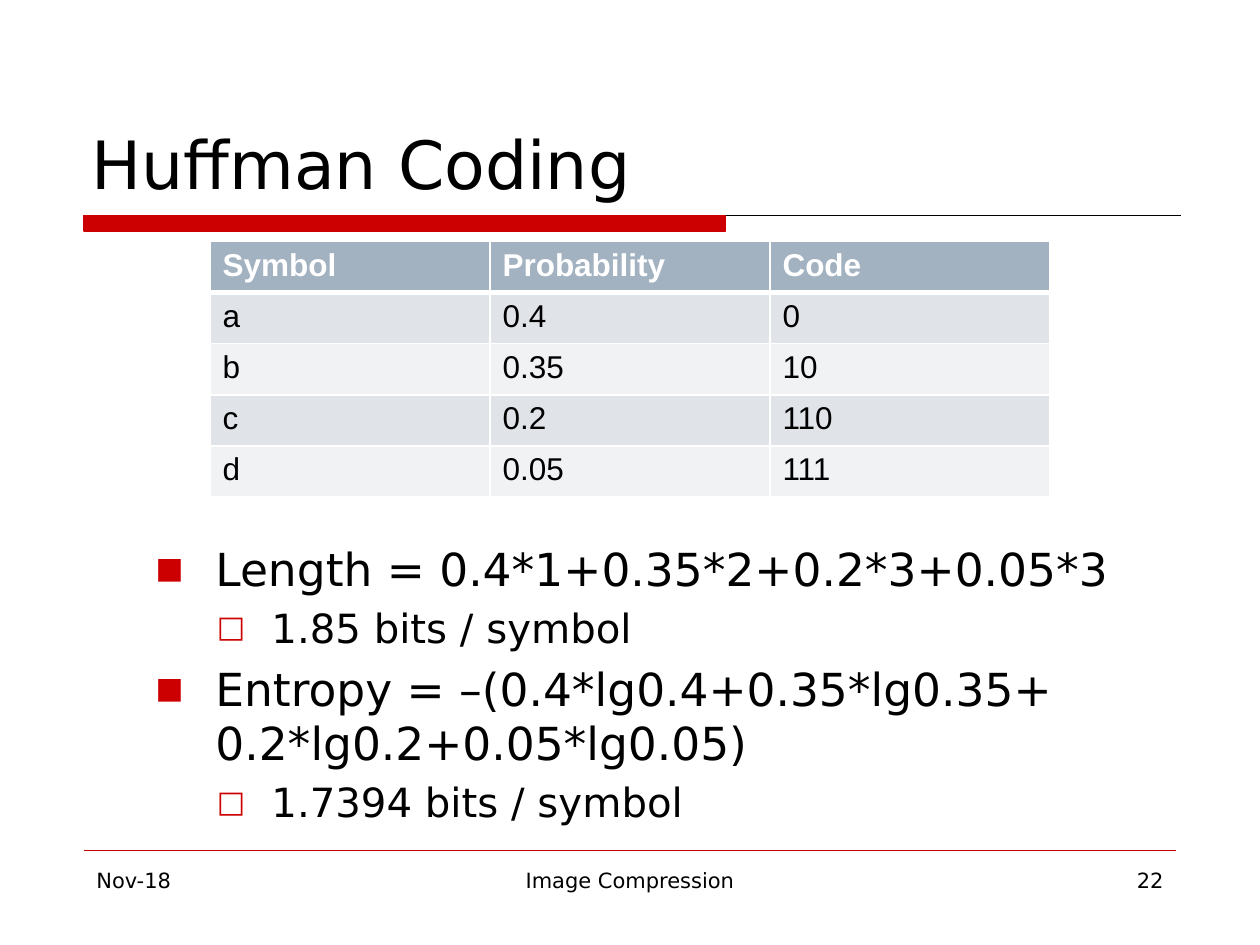
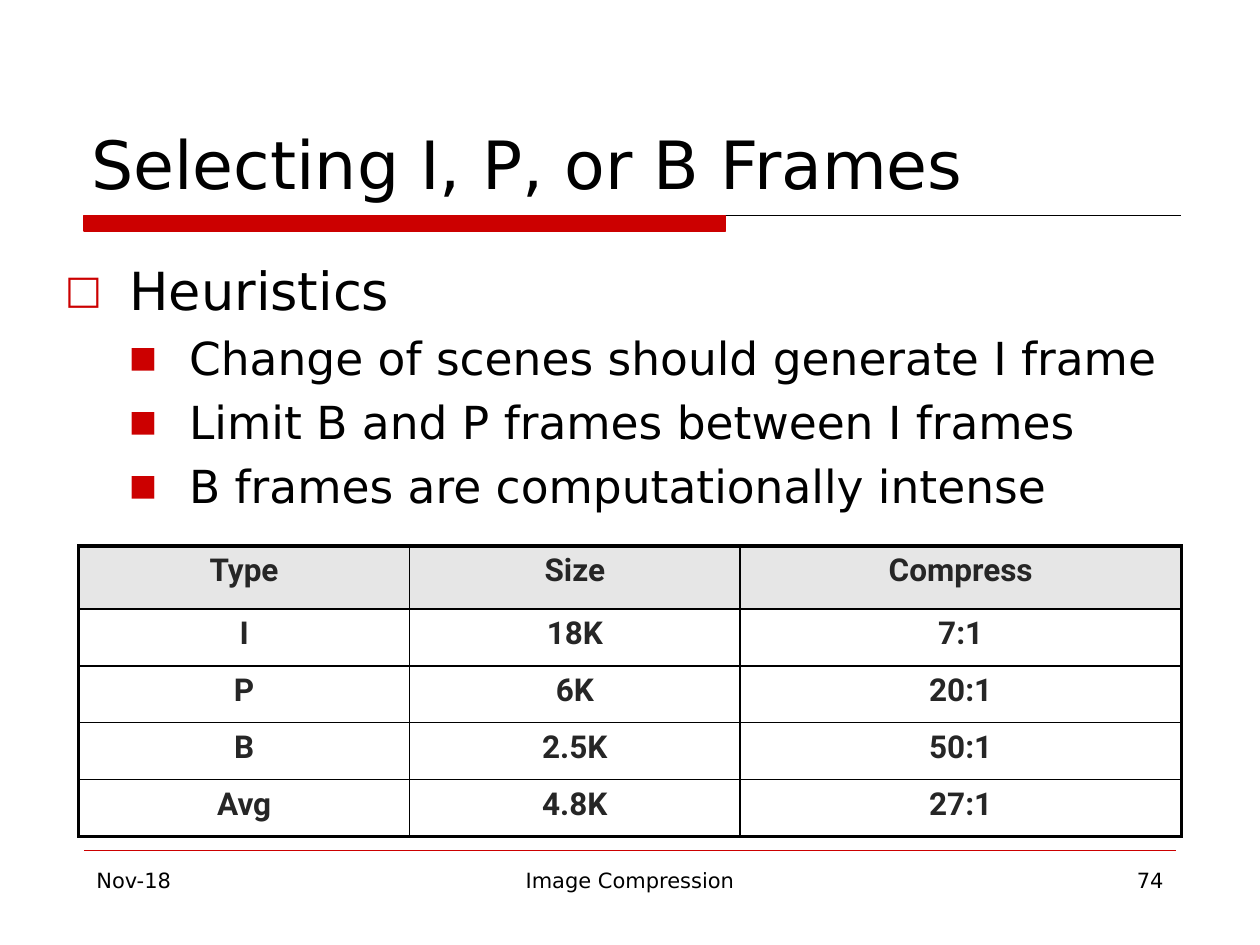
from lxml.etree import SubElement
from pptx import Presentation
from pptx.dml.color import RGBColor
from pptx.enum.shapes import MSO_CONNECTOR, MSO_SHAPE
from pptx.enum.text import MSO_ANCHOR, MSO_AUTO_SIZE, PP_ALIGN
from pptx.oxml import parse_xml
from pptx.oxml.ns import nsdecls, qn
from pptx.util import Pt

BLACK, WHITE, RED = "000000", "FFFFFF", "CC0000"
FONT = "DejaVu Sans"

CODE_TABLE = {
    "rows": [
        ("Symbol", "Probability", "Code"),
        ("a", "0.4", "0"),
        ("b", "0.35", "10"),
        ("c", "0.2", "110"),
        ("d", "0.05", "111"),
    ],
    "left": 120, "top": 138, "widths": (160, 160, 160), "heights": (29.2,) * 5,
    "font": "Arial", "colors": (WHITE, BLACK), "bold": (True, False),
    "header_fill": "A3B2C1", "row_fills": ("E0E4E9", "F0F2F4"),
    "align": PP_ALIGN.LEFT, "side_margin": 7.2,
    "line": WHITE, "outer": 1, "header_rule": 3, "inner": 1,
}
FRAME_TABLE = {
    "rows": [
        ("Type", "Size", "Compress"),
        ("I", "18K", "7:1"),
        ("P", "6K", "20:1"),
        ("B", "2.5K", "50:1"),
        ("Avg", "4.8K", "27:1"),
    ],
    "left": 45, "top": 312, "widths": (189, 189, 252), "heights": (36,) + (32.5,) * 4,
    "font": "Roboto", "colors": ("262626", "262626"), "bold": (True, True),
    "header_fill": "E6E6E6", "row_fills": (None, None),
    "align": PP_ALIGN.CENTER, "side_margin": 15,
    "line": BLACK, "outer": 2.25, "header_rule": 1, "inner": 1,
}
SLIDES = [
    {
        "title": "Huffman Coding", "number": "22", "table": CODE_TABLE,
        "body_box": (45, 305.4, 630, 169),
        "body": [
            (1, "Length = 0.4*1+0.35*2+0.2*3+0.05*3"),
            (2, "1.85 bits / symbol"),
            (1, "Entropy = –(0.4*lg0.4+0.35*lg0.35+ 0.2*lg0.2+0.05*lg0.05)"),
            (2, "1.7394 bits / symbol"),
        ],
    },
    {
        "title": "Selecting I, P, or B Frames", "number": "74", "table": FRAME_TABLE,
        "body_box": (30, 144, 648, 306),
        "body": [
            (0, "Heuristics"),
            (1, "Change of scenes should generate I frame"),
            (1, "Limit B and P frames between I frames"),
            (1, "B frames are computationally intense"),
        ],
    },
]
LEVELS = [
    {"size": 30, "before": 6, "left": 37, "hang": 37, "bullet": "□", "percent": 75},
    {"size": 26, "before": 5.2, "left": 71, "hang": 34.2, "bullet": "■", "percent": 65},
    {"size": 23, "before": 4.6, "left": 103, "hang": 31.2, "bullet": "□", "percent": 75},
]


def color(value):
    return RGBColor.from_string(value)


def add_span(para, text, size, font=FONT, ink=BLACK, bold=False):
    span = para.add_run()
    span.text = text
    span.font.size = Pt(size)
    span.font.name = font
    span.font.bold = bold
    span.font.color.rgb = color(ink)


def add_box(page, left, top, width, height):
    box = page.shapes.add_textbox(Pt(left), Pt(top), Pt(width), Pt(height))
    box.text_frame.word_wrap = True
    return box.text_frame


def add_rule(page, left, right, y, ink):
    rule = page.shapes.add_connector(MSO_CONNECTOR.STRAIGHT, Pt(left), Pt(y), Pt(right), Pt(y))
    rule.line.color.rgb = color(ink)
    rule.line.width = Pt(0.75)
    SubElement(rule.element.spPr, qn("a:effectLst"))


def add_frame(page, title, number):
    add_rule(page, 48, 674.6, 123, BLACK)
    band = page.shapes.add_shape(MSO_SHAPE.RECTANGLE, Pt(48), Pt(123), Pt(366.5), Pt(9))
    band.shadow.inherit = False
    band.fill.solid()
    band.fill.fore_color.rgb = color(RED)
    band.line.color.rgb = color(RED)
    band.line.width = Pt(0.75)
    add_rule(page, 48, 672, 486, RED)

    heading = page.shapes.title
    heading.left, heading.top, heading.width, heading.height = Pt(45), Pt(24), Pt(630), Pt(95.5)
    frame = heading.text_frame
    frame.vertical_anchor = MSO_ANCHOR.BOTTOM
    frame.auto_size = MSO_AUTO_SIZE.NONE
    frame.paragraphs[0].alignment = PP_ALIGN.LEFT
    add_span(frame.paragraphs[0], title, 38)

    footers = [
        ("Nov-18", 48, 156, PP_ALIGN.LEFT),
        ("Image Compression", 246, 228, PP_ALIGN.CENTER),
        (number, 516, 156, PP_ALIGN.RIGHT),
    ]
    for text, left, width, align in footers:
        para = add_box(page, left, 492, width, 37.5).paragraphs[0]
        para.alignment = align
        add_span(para, text, 12)


def add_body(page, place, items):
    frame = add_box(page, *place)
    for index, (depth, text) in enumerate(items):
        level = LEVELS[depth]
        para = frame.add_paragraph() if index else frame.paragraphs[0]
        para.level = depth
        para.space_before = Pt(level["before"] if index else 0)
        props = para._p.get_or_add_pPr()
        props.set("marL", str(Pt(level["left"])))
        props.set("indent", str(-Pt(level["hang"])))
        tint = SubElement(props, qn("a:buClr"))
        SubElement(tint, qn("a:srgbClr"), val=RED)
        SubElement(props, qn("a:buSzPct"), val=str(level["percent"] * 1000))
        SubElement(props, qn("a:buFont"), typeface=FONT)
        SubElement(props, qn("a:buChar"), char=level["bullet"])
        add_span(para, text, level["size"])


def set_borders(cell, ink, widths):
    props = cell._tc.get_or_add_tcPr()
    for index, (side, width) in enumerate(zip("LRTB", widths)):
        props.insert(index, parse_xml(
            f'<a:ln{side} {nsdecls("a")} w="{Pt(width)}"><a:solidFill>'
            f'<a:srgbClr val="{ink}"/></a:solidFill></a:ln{side}>'))


def add_grid(page, look):
    rows, widths, heights = look["rows"], look["widths"], look["heights"]
    table = page.shapes.add_table(
        len(rows), len(widths), Pt(look["left"]), Pt(look["top"]),
        Pt(sum(widths)), Pt(sum(heights))).table
    table.first_row = table.horz_banding = False
    for column, width in zip(table.columns, widths):
        column.width = Pt(width)
    for row, height in zip(table.rows, heights):
        row.height = Pt(height)
    outer, inner = look["outer"], look["inner"]
    across = [outer, look["header_rule"]] + [inner] * (len(rows) - 2) + [outer]
    down = [outer] + [inner] * (len(widths) - 1) + [outer]
    for r, texts in enumerate(rows):
        kind = 1 if r else 0
        fill = look["row_fills"][(r - 1) % 2] if r else look["header_fill"]
        for c, text in enumerate(texts):
            cell = table.cell(r, c)
            cell.margin_left = cell.margin_right = Pt(look["side_margin"])
            if fill:
                cell.fill.solid()
                cell.fill.fore_color.rgb = color(fill)
            else:
                cell.fill.background()
            para = cell.text_frame.paragraphs[0]
            para.alignment = look["align"]
            add_span(para, text, 18, look["font"], look["colors"][kind], look["bold"][kind])
            set_borders(cell, look["line"], (down[c], down[c + 1], across[r], across[r + 1]))


def main():
    deck = Presentation()
    deck.slide_width, deck.slide_height = Pt(720), Pt(540)
    for content in SLIDES:
        page = deck.slides.add_slide(deck.slide_layouts[5])
        add_frame(page, content["title"], content["number"])
        add_grid(page, content["table"])
        add_body(page, content["body_box"], content["body"])
    deck.save("out.pptx")


if __name__ == "__main__":
    main()
